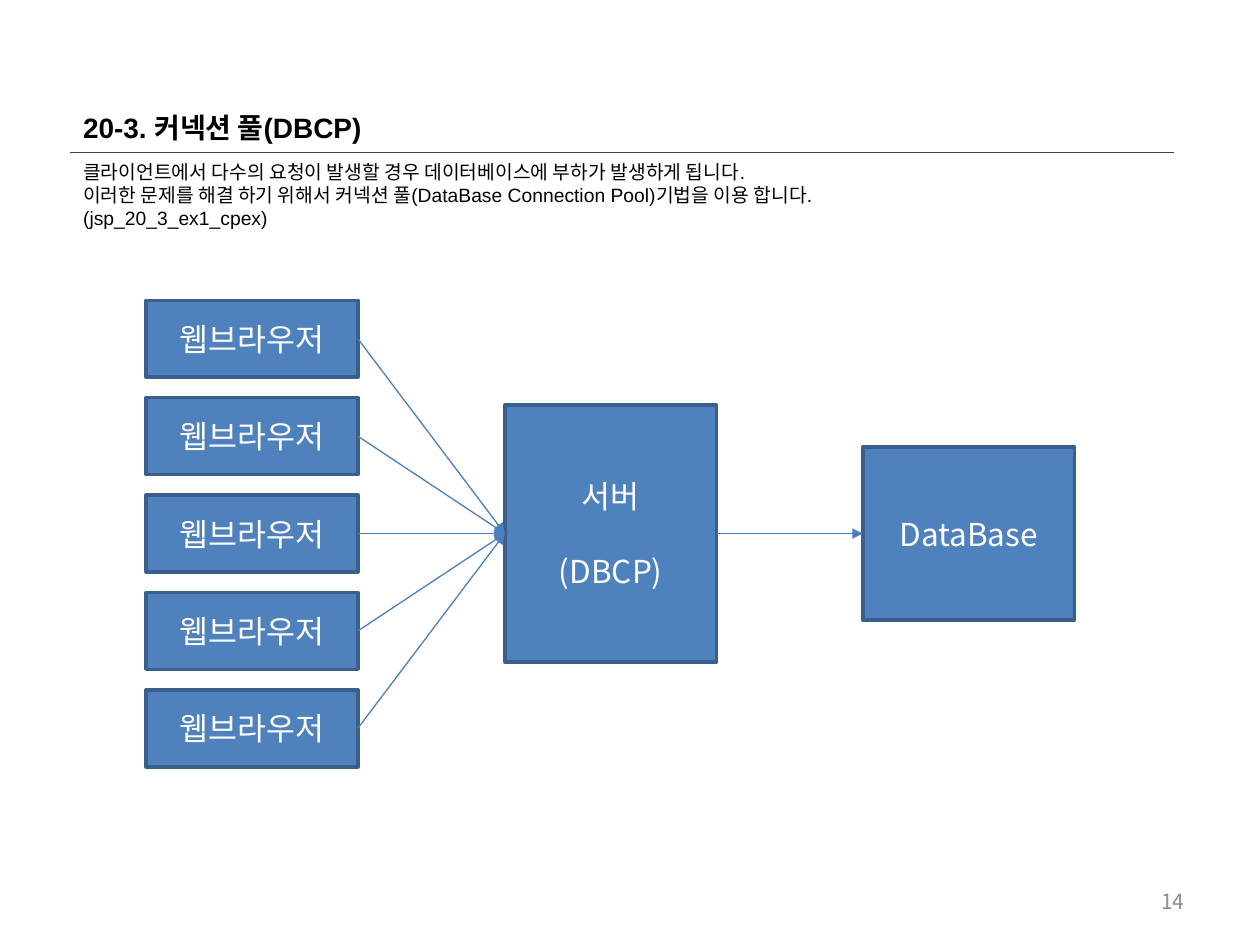
"""Build the connection pool slide: browsers, server and database."""
from lxml import etree
from pptx import Presentation
from pptx.dml.color import RGBColor
from pptx.enum.shapes import MSO_CONNECTOR, MSO_SHAPE
from pptx.enum.text import MSO_ANCHOR, MSO_AUTO_SIZE, PP_ALIGN
from pptx.oxml.ns import qn
from pptx.util import Pt

STRAIGHT = MSO_CONNECTOR.STRAIGHT
RECTANGLE = MSO_SHAPE.RECTANGLE
TOP, MIDDLE = MSO_ANCHOR.TOP, MSO_ANCHOR.MIDDLE
LEFT, CENTER, RIGHT = PP_ALIGN.LEFT, PP_ALIGN.CENTER, PP_ALIGN.RIGHT
NO_AUTOFIT = MSO_AUTO_SIZE.NONE

BLACK = RGBColor(0x00, 0x00, 0x00)
WHITE = RGBColor(0xFF, 0xFF, 0xFF)
GRAY = RGBColor(0x8C, 0x8C, 0x8C)
RULE_GRAY = RGBColor(0x40, 0x40, 0x40)
BOX_FILL = RGBColor(0x4F, 0x81, 0xBD)
BOX_LINE = RGBColor(0x3A, 0x5F, 0x8C)
ARROW_BLUE = RGBColor(0x4B, 0x7E, 0xBC)

LATIN_FONT = "Arial"
KOREAN_FONT = "Noto Sans CJK KR"

TITLE = "20-3. 커넥션 풀(DBCP)"
DESCRIPTION = [
    "클라이언트에서 다수의 요청이 발생할 경우 데이터베이스에 부하가 발생하게 됩니다.",
    "이러한 문제를 해결 하기 위해서 커넥션 풀(DataBase Connection Pool)기법을 이용 합니다.",
    "(jsp_20_3_ex1_cpex)",
]
TEXT_LEFT, TEXT_WIDTH = 40.3, 630.7
BOX_WIDTH = 121
BROWSER_COUNT, BROWSER_HEIGHT, BROWSER_PITCH = 5, 44, 55.65
CENTER_Y = 304.9


def write_text(shape, lines, *, size, color, font=KOREAN_FONT, bold=False,
               align=LEFT, anchor=TOP, gap=0):
    """Write one paragraph per line in the given format."""
    frame = shape.text_frame
    frame.word_wrap = True
    frame.auto_size = NO_AUTOFIT
    frame.vertical_anchor = anchor
    for index, line in enumerate(lines):
        paragraph = frame.add_paragraph() if index else frame.paragraphs[0]
        properties = paragraph._p.get_or_add_pPr()
        properties.set("marL", "0")
        properties.set("indent", "0")
        etree.SubElement(properties, qn("a:buNone"))
        paragraph.alignment = align
        paragraph.space_before = Pt(gap if index else 0)
        run = paragraph.add_run()
        run.text = line
        run.font.size = Pt(size)
        run.font.bold = bold
        run.font.name = font
        run.font.color.rgb = color
        east_asian = etree.SubElement(run._r.get_or_add_rPr(), qn("a:ea"))
        east_asian.set("typeface", KOREAN_FONT)


def place(shape, left, top, width, height):
    """Move and size a shape in points."""
    shape.left, shape.top = Pt(left), Pt(top)
    shape.width, shape.height = Pt(width), Pt(height)


def add_box(slide, left, height, lines, center_y=CENTER_Y, gap=0):
    """Add a labelled blue rectangle centred on a height."""
    box = slide.shapes.add_shape(RECTANGLE, Pt(left), Pt(center_y - height / 2),
                                 Pt(BOX_WIDTH), Pt(height))
    box.shadow.inherit = False
    box.fill.solid()
    box.fill.fore_color.rgb = BOX_FILL
    box.line.color.rgb = BOX_LINE
    box.line.width = Pt(2)
    write_text(box, lines, size=18, color=WHITE, align=CENTER, anchor=MIDDLE, gap=gap)
    return box


def add_line(slide, start, end, color, width):
    """Add a straight connector without shadow."""
    line = slide.shapes.add_connector(STRAIGHT, *map(Pt, start + end))
    line.line.color.rgb = color
    line.line.width = Pt(width)
    etree.SubElement(line._element.spPr, qn("a:effectLst"))
    return line


def add_arrow(slide, source, target):
    """Join the right side of one box to the left side of another."""
    arrow = add_line(slide, (0, 0), (0, 0), ARROW_BLUE, 0.75)
    arrow.begin_connect(source, 3)
    arrow.end_connect(target, 1)
    head = etree.SubElement(arrow.line._get_or_add_ln(), qn("a:tailEnd"))
    head.set("type", "triangle")


def main():
    """Build and save the slide."""
    presentation = Presentation()
    presentation.slide_width, presentation.slide_height = Pt(720), Pt(540)
    slide = presentation.slides.add_slide(presentation.slide_layouts[1])

    title, body = slide.placeholders
    place(title, TEXT_LEFT, 59.8, TEXT_WIDTH, 26.6)
    write_text(title, [TITLE], size=16, color=BLACK, font=LATIN_FONT, bold=True)
    place(body, TEXT_LEFT, 87.8, TEXT_WIDTH, 47.5)
    write_text(body, DESCRIPTION, size=11, color=BLACK, font=LATIN_FONT)
    add_line(slide, (TEXT_LEFT, 87.1), (TEXT_LEFT + TEXT_WIDTH, 87.1), RULE_GRAY, 1)

    number = slide.shapes.add_textbox(Pt(516), Pt(500.5), Pt(168), Pt(28.8))
    write_text(number, ["14"], size=12, color=GRAY, align=RIGHT, anchor=MIDDLE)

    server = add_box(slide, 288.5, 147, ["서버", "(DBCP)"], gap=21)
    database = add_box(slide, 493, 99, ["DataBase"])
    for index in range(BROWSER_COUNT):
        center_y = CENTER_Y + (index - BROWSER_COUNT // 2) * BROWSER_PITCH
        browser = add_box(slide, 83.5, BROWSER_HEIGHT, ["웹브라우저"], center_y)
        add_arrow(slide, browser, server)
    add_arrow(slide, server, database)

    presentation.save("out.pptx")


if __name__ == "__main__":
    main()
